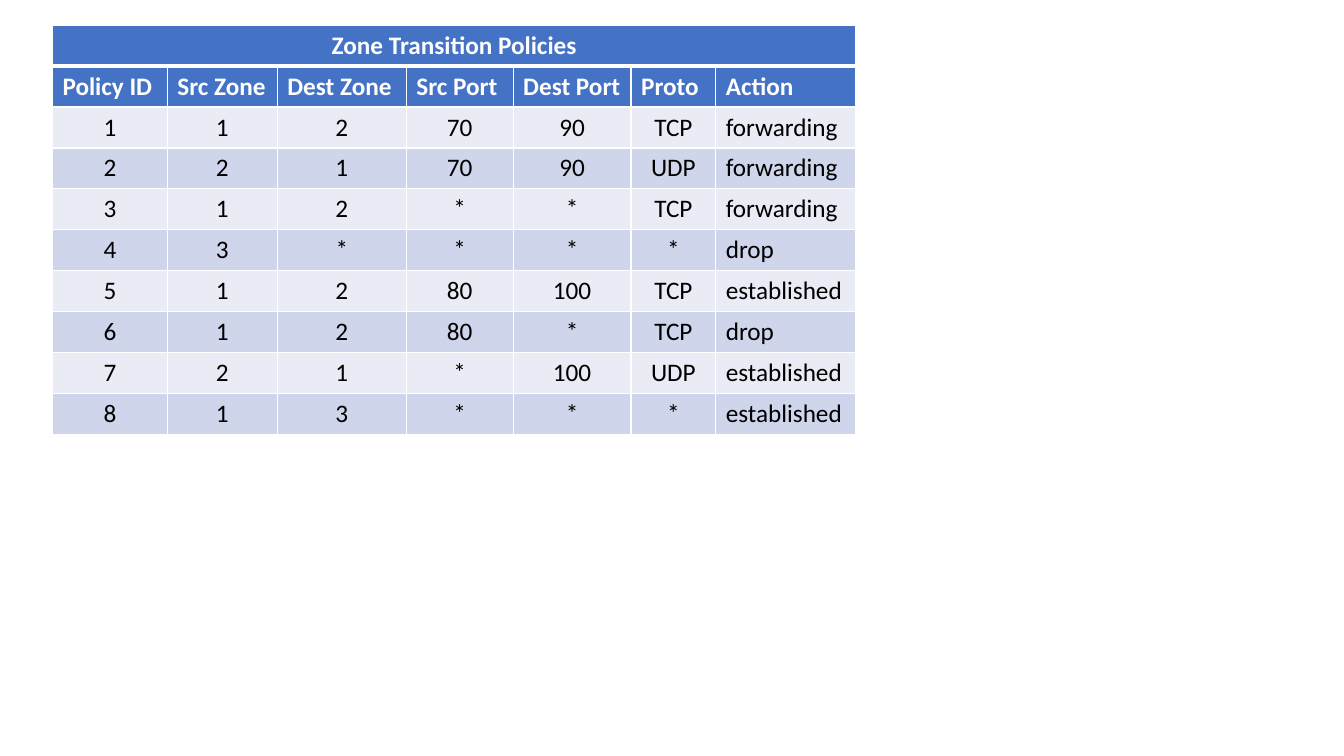
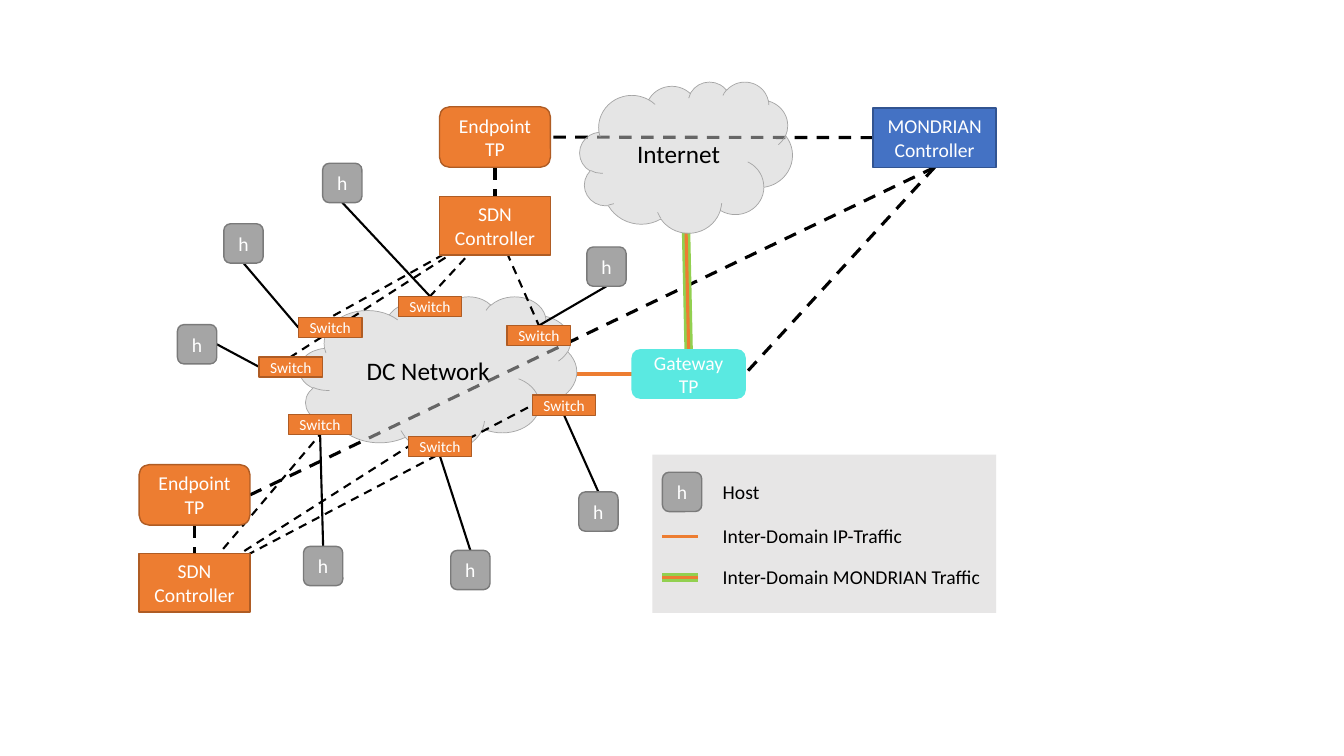
from lxml import etree
from pptx import Presentation
from pptx import util as u
from pptx.dml.color import RGBColor
from pptx.enum import dml, shapes, text
from pptx.oxml import ns

FONT = "Calibri"
WHITE, BLACK = RGBColor(255, 255, 255), RGBColor(0, 0, 0)
BLUE, NAVY = RGBColor(0x44, 0x72, 0xC4), RGBColor(0x32, 0x54, 0x91)
ORANGE, RUST = RGBColor(0xED, 0x7D, 0x31), RGBColor(0xAF, 0x5C, 0x24)
GREY, DARK_GREY = RGBColor(0xA5, 0xA5, 0xA5), RGBColor(0x7A, 0x7A, 0x7A)
PANEL, CLOUD = RGBColor(0xE7, 0xE6, 0xE6), RGBColor(0xCD, 0xCD, 0xCD)
GREEN, TEAL = RGBColor(0x92, 0xD0, 0x50), RGBColor(0x5A, 0xE9, 0xE1)
BANDS = RGBColor(0xE9, 0xEB, 0xF5), RGBColor(0xCF, 0xD5, 0xEA)

# Policy table content
TITLE = "Zone Transition Policies"
HEADS = ["Policy ID", "Src Zone", "Dest Zone", "Src Port", "Dest Port", "Proto", "Action"]
POLICIES = [
    (1, 1, 2, 70, 90, "TCP", "forwarding"),
    (2, 2, 1, 70, 90, "UDP", "forwarding"),
    (3, 1, 2, "*", "*", "TCP", "forwarding"),
    (4, 3, "*", "*", "*", "*", "drop"),
    (5, 1, 2, 80, 100, "TCP", "established"),
    (6, 1, 2, 80, "*", "TCP", "drop"),
    (7, 2, 1, "*", 100, "UDP", "established"),
    (8, 1, 3, "*", "*", "*", "established"),
]
COL_WIDTHS = [1.14, 1.09, 1.28, 1.06, 1.17, 0.84, 1.39]
TABLE_X, TABLE_Y, ROW_H = 0.52, 0.25, 0.406

# Node kinds: preset, width, height, fill, outline, text size
RECT, ROUND = shapes.MSO_SHAPE.RECTANGLE, shapes.MSO_SHAPE.ROUNDED_RECTANGLE
KINDS = {
    "host": (ROUND, 0.39, 0.39, GREY, DARK_GREY, 14),
    "switch": (RECT, 0.63, 0.2, ORANGE, RUST, 11),
    "endpoint": (ROUND, 1.1, 0.6, ORANGE, RUST, 14),
    "sdn": (RECT, 1.1, 0.58, ORANGE, RUST, 14),
    "gateway": (ROUND, 1.12, 0.48, TEAL, TEAL, 14),
    "controller": (RECT, 1.22, 0.59, BLUE, NAVY, 14),
}
LABELS = {"host": "h", "switch": "Switch", "endpoint": "Endpoint TP", "sdn": "SDN Controller",
          "gateway": "Gateway TP", "controller": "MONDRIAN Controller"}

# Nodes: name -> kind, left, top
NODES = {
    "h west": ("host", 1.76, 3.22), "h northwest": ("host", 2.22, 2.22),
    "h north": ("host", 3.2, 1.62), "h east": ("host", 5.82, 2.45),
    "h southeast": ("host", 5.74, 4.88), "h south": ("host", 4.47, 5.46),
    "h southwest": ("host", 3.01, 5.42),
    "sw west": ("switch", 2.57, 3.54), "sw northwest": ("switch", 2.96, 3.15),
    "sw north": ("switch", 3.95, 2.94), "sw east": ("switch", 5.03, 3.23),
    "sw southeast": ("switch", 5.28, 3.92), "sw south": ("switch", 4.05, 4.33),
    "sw southwest": ("switch", 2.86, 4.11),
    "endpoint A": ("endpoint", 4.36, 1.06), "sdn A": ("sdn", 4.36, 1.95),
    "endpoint B": ("endpoint", 1.38, 4.61), "sdn B": ("sdn", 1.38, 5.49),
    "gateway": ("gateway", 6.27, 3.47), "controller": ("controller", 8.66, 1.07),
}
CLOUDS = {"Internet": (5.75, 0.81, 2.11, 1.5), "DC Network": (2.97, 2.94, 2.75, 1.54)}

# Links: from, side, to, side
BACKBONE = [("controller", "bottom", "endpoint B", "right"),
            ("controller", "left", "endpoint A", "right"),
            ("controller", "bottom", "gateway", "right"),
            ("endpoint A", "bottom", "sdn A", "top"),
            ("endpoint B", "bottom", "sdn B", "top")]
MONDRIAN_LINK = [("gateway", "top", "Internet", "bottom")]
IP_LINK = [("DC Network", "right", "gateway", "left")]
CONTROL = [("sdn A", "hub", "sw " + d, "top") for d in ("east", "north", "northwest", "west")]
CONTROL += [("sdn B", "hub", "sw southwest", "bottom"),
            ("sdn B", "hub", "sw south", "left"), ("sdn B", "hub", "sw southeast", "left")]
ACCESS = [("h " + d, a, "sw " + d, b) for d, a, b in (
    ("north", "bottom", "top"), ("northwest", "bottom", "left"), ("west", "right", "left"),
    ("east", "bottom", "top"), ("southeast", "top", "bottom"),
    ("south", "top", "bottom"), ("southwest", "top", "bottom"))]

# Side -> share of width, share of height, connection site
SIDES = {"top": (0.5, 0, 0), "left": (0, 0.5, 1), "bottom": (0.5, 1, 2),
         "right": (1, 0.5, 3), "hub": (0.5, 0.5, None)}

# Legend: label, row centre, line layers
MONDRIAN_LAYERS, IP_LAYERS = [(GREEN, 6), (ORANGE, 2.25)], [(ORANGE, 2.25)]
LEGEND_BOX = (6.47, 4.51, 3.41, 1.57)
LEGEND = [("Host", 4.88, []), ("Inter-Domain IP-Traffic", 5.32, IP_LAYERS),
          ("Inter-Domain MONDRIAN Traffic", 5.73, MONDRIAN_LAYERS)]
KEY_X, KEY_W, LABEL_X, LABEL_W, LABEL_H = 6.57, 0.35, 7.07, 3, 0.34


def write(tf, words, size, color, align=None, bold=False):
    tf.text = str(words)
    p = tf.paragraphs[0]
    p.alignment = align
    f = p.runs[0].font
    f.name, f.size, f.bold, f.color.rgb = FONT, u.Pt(size), bold, color


def shape(s, preset, box, fill, outline=None, width=1):
    sp = s.shapes.add_shape(preset, *map(u.Inches, box))
    sp.shadow.inherit = False
    sp.fill.solid()
    sp.fill.fore_color.rgb = fill
    if outline is None:
        sp.line.fill.background()
    else:
        sp.line.color.rgb, sp.line.width = outline, u.Pt(width)
    return sp


def label(sp, words, size, color):
    tf = sp.text_frame
    tf.word_wrap, tf.vertical_anchor = True, text.MSO_ANCHOR.MIDDLE
    write(tf, words, size, color, text.PP_ALIGN.CENTER)


def line(s, start, end, color, width, dashed=False):
    cx = s.shapes.add_connector(shapes.MSO_CONNECTOR.STRAIGHT, *map(u.Inches, start + end))
    cx.line.color.rgb, cx.line.width = color, u.Pt(width)
    if dashed:
        cx.line.dash_style = dml.MSO_LINE.DASH
    etree.SubElement(cx._element.spPr, ns.qn("a:effectLst"))
    return cx


def border(cell, tag, width):
    ln = etree.SubElement(cell._tc.get_or_add_tcPr(), ns.qn("a:" + tag), w=str(u.Pt(width)))
    fill = etree.SubElement(ln, ns.qn("a:solidFill"))
    etree.SubElement(fill, ns.qn("a:srgbClr"), val=str(WHITE))


def policy_slide(s):
    rows = [[TITLE] + [""] * 6, HEADS] + POLICIES
    table = s.shapes.add_table(len(rows), len(HEADS), *map(u.Inches, (
        TABLE_X, TABLE_Y, sum(COL_WIDTHS), ROW_H * len(rows)))).table
    for col, w in zip(table.columns, COL_WIDTHS):
        col.width = u.Inches(w)
    for i, row in enumerate(rows):
        table.rows[i].height = u.Inches(ROW_H)
        for j, value in enumerate(row):
            cell, head = table.cell(i, j), i < 2
            for tag in ("lnL", "lnR", "lnT", "lnB"):
                thick = (i, tag) in ((0, "lnB"), (1, "lnT"))
                border(cell, tag, 3 if thick else 1)
            cell.fill.solid()
            cell.fill.fore_color.rgb = BLUE if head else BANDS[i % 2]
            if value != "":
                left = i == 1 or j == len(HEADS) - 1
                write(cell.text_frame, value, 18, WHITE if head else BLACK,
                      text.PP_ALIGN.LEFT if left else text.PP_ALIGN.CENTER, head)
    table.cell(0, 0).merge(table.cell(0, len(HEADS) - 1))


def network_slide(s):
    boxes = dict(CLOUDS)
    for name, (kind, x, y) in NODES.items():
        boxes[name] = (x, y) + KINDS[kind][1:3]
    drawn, joins = {}, []

    def point(name, side):
        x, y, w, h = boxes[name]
        fx, fy, _ = SIDES[side]
        return x + fx * w, y + fy * h

    def connect(links, color, width, dashed=False):
        for a, side_a, b, side_b in links:
            cx = line(s, point(a, side_a), point(b, side_b), color, width, dashed)
            joins.extend([(cx.begin_connect, a, side_a), (cx.end_connect, b, side_b)])

    def node(kind, x, y):
        preset, w, h, fill, outline, size = KINDS[kind]
        sp = shape(s, preset, (x, y, w, h), fill, outline)
        label(sp, LABELS[kind], size, WHITE)
        return sp

    # Links that pass behind the clouds
    connect(BACKBONE, BLACK, 2.25, True)
    for layers, links in ((MONDRIAN_LAYERS, MONDRIAN_LINK), (IP_LAYERS, IP_LINK)):
        for color, width in layers:
            connect(links, color, width)

    # Clouds
    for name, box in CLOUDS.items():
        sp = shape(s, shapes.MSO_SHAPE.CLOUD, box, CLOUD, GREY, 0.5)
        clr = sp.fill._xPr.find(".//" + ns.qn("a:srgbClr"))
        etree.SubElement(clr, ns.qn("a:alpha"), val="50000")
        label(sp, name, 18, BLACK)

    # Links above the clouds, then nodes
    connect(CONTROL, BLACK, 1.5, True)
    connect(ACCESS, BLACK, 1.5)
    for name, spot in NODES.items():
        drawn[name] = node(*spot)
    for join, name, side in joins:
        site = SIDES[side][2]
        if name in drawn and site is not None:
            join(drawn[name], site)

    # Legend
    shape(s, RECT, LEGEND_BOX, PANEL)
    for words, mid, layers in LEGEND:
        for color, width in layers:
            line(s, (KEY_X, mid), (KEY_X + KEY_W, mid), color, width)
        if not layers:
            node("host", KEY_X, mid - KINDS["host"][2] / 2)
        tb = s.shapes.add_textbox(*map(u.Inches, (LABEL_X, mid - LABEL_H / 2, LABEL_W, LABEL_H)))
        tb.text_frame.word_wrap = True
        write(tb.text_frame, words, 14, BLACK)


prs = Presentation()
prs.slide_width, prs.slide_height = u.Inches(13.33), u.Inches(7.5)
for build in (policy_slide, network_slide):
    build(prs.slides.add_slide(prs.slide_layouts[6]))
prs.save("out.pptx")
